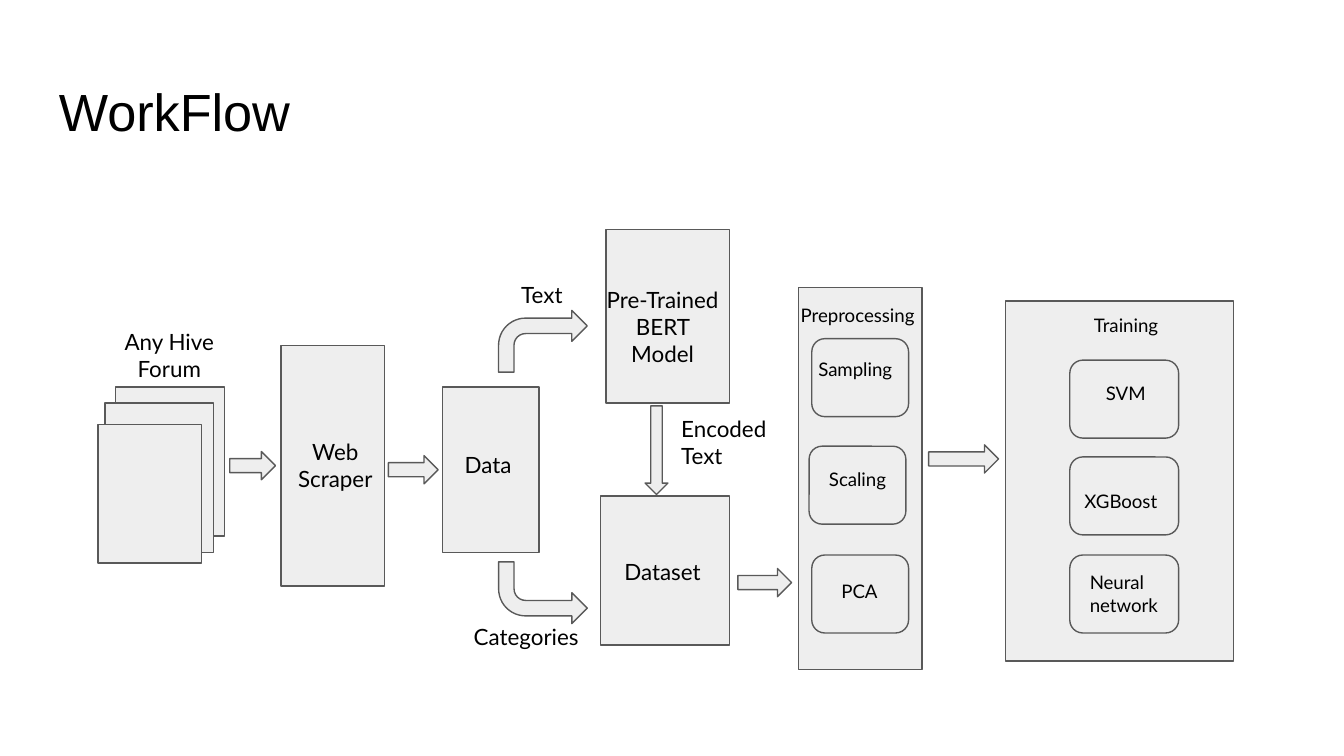
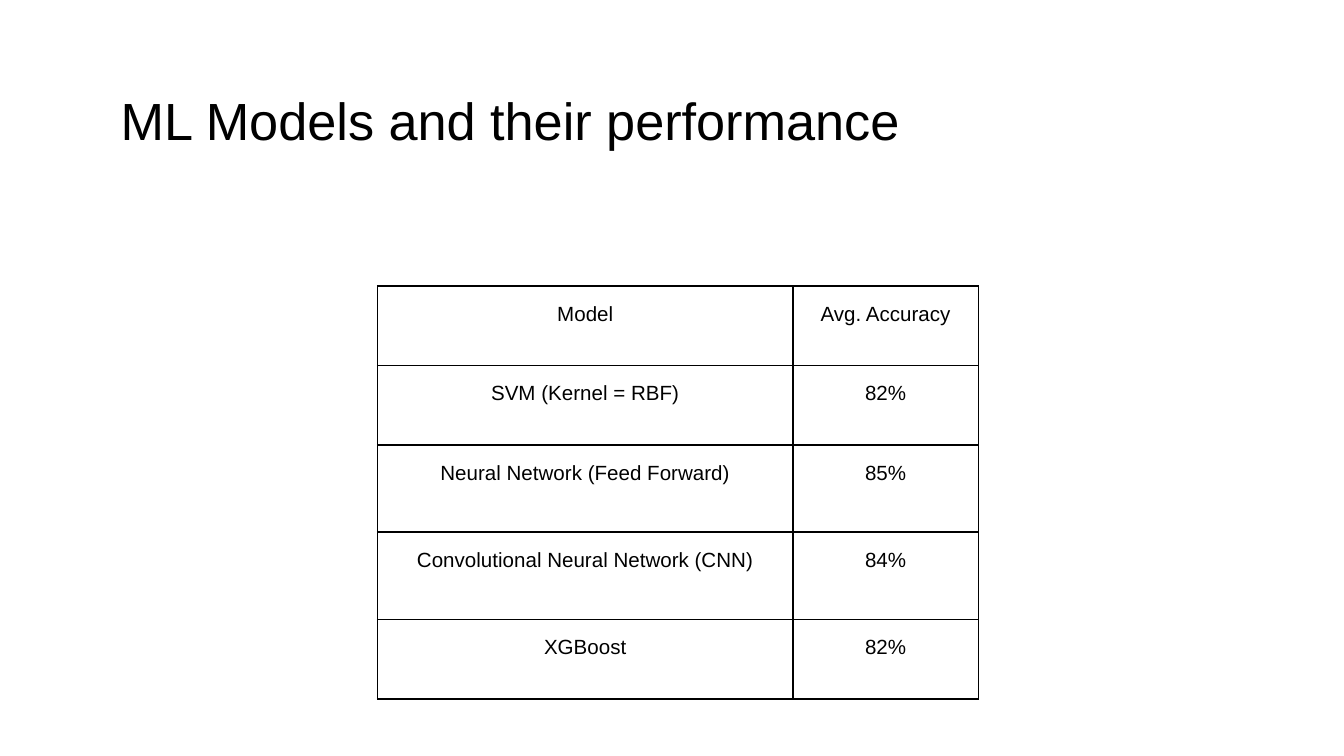
from dataclasses import dataclass
from typing import Any

from lxml import etree
from pptx import Presentation, util as u
from pptx.dml.color import RGBColor
from pptx.enum import shapes, text
from pptx.oxml import ns

PX = 9144
COLORS = {"ink": "000000", "panel": "EEEEEE", "outline": "595959"}
BODY_FONT, TITLE_FONT = "Lato", "Arial"
KIND = shapes.MSO_SHAPE
LEFT, CENTER = text.PP_ALIGN.LEFT, text.PP_ALIGN.CENTER


def px(value):
    """Turn pixels (100 to the inch) into EMU."""
    return u.Emu(value * PX)


def color(name):
    """Look up a palette colour."""
    return RGBColor.from_string(COLORS[name])


def style(paragraph, font_name, size, align):
    """Set the font and alignment of a paragraph."""
    paragraph.alignment = align
    paragraph.font.name = font_name
    paragraph.font.size = u.Pt(size)
    paragraph.font.color.rgb = color("ink")


@dataclass
class Region:
    """A part of a slide that places shapes relative to its corner."""

    slide: Any
    left: int
    top: int

    def frame(self, left, top, width, height):
        """Return slide coordinates of a box inside the region."""
        return px(self.left + left), px(self.top + top), px(width), px(height)

    def block(self, kind, *box):
        """Add a grey outlined shape."""
        shape = self.slide.shapes.add_shape(kind, *self.frame(*box))
        shape.shadow.inherit = False
        shape.fill.solid()
        shape.fill.fore_color.rgb = color("panel")
        shape.line.color.rgb = color("outline")
        shape.line.width = u.Pt(0.75)
        return shape

    def label(self, words, *box, size=12, align=CENTER, font_name=BODY_FONT, inset=10):
        """Add wrapped text, set slightly lower when it is small."""
        frame = self.slide.shapes.add_textbox(*self.frame(*box)).text_frame
        frame.word_wrap = True
        frame.margin_left = px(inset)
        frame.margin_right = frame.margin_bottom = px(10)
        frame.margin_top = px(12 if size < 12 else 10)
        frame.text = words
        style(frame.paragraphs[0], font_name, size, align)


def add_title(slide, words, *box):
    """Add the slide title."""
    Region(slide, 0, 0).label(words, *box, size=28, align=LEFT, font_name=TITLE_FONT)


def draw_collection(region):
    """Draw the forum pages, the scraper and the collected data."""
    for page in [(13, 54, 81, 111), (5, 66, 81, 111), (0, 82, 77, 103)]:
        region.block(KIND.RECTANGLE, *page)
    region.label("Any Hive Forum", 5, 0, 96, 42)
    region.block(KIND.RIGHT_ARROW, 98, 102, 34, 21)
    region.block(KIND.RECTANGLE, 136, 23, 77, 179)
    region.label("Web Scraper", 136, 82, 81, 42)
    region.block(KIND.RIGHT_ARROW, 216, 105, 37, 21)
    region.block(KIND.RECTANGLE, 256, 54, 72, 123)
    region.label("Data", 263, 92, 66, 58, align=LEFT)


def draw_encoding(region):
    """Draw the text and category branches that meet in the dataset."""
    region.label("Text", 7, 28, 52, 21, align=LEFT)
    region.block(KIND.BENT_ARROW, 0, 60, 66, 46)
    lower_arrow = region.block(KIND.BENT_ARROW, 0, 247, 66, 46)
    lower_arrow.rotation = 180
    lower_arrow._element.spPr.xfrm.set("flipH", "1")
    region.label("Categories", -32, 283, 105, 58)
    region.block(KIND.RECTANGLE, 80, 0, 92, 129)
    region.label("Pre-Trained BERT Model", 68, 32, 108, 87)
    region.block(KIND.DOWN_ARROW, 109, 131, 17, 66)
    region.label("Encoded Text", 126, 128, 92, 77, align=LEFT)
    region.block(KIND.RECTANGLE, 76, 198, 96, 111)
    region.label("Dataset", 76, 234, 92, 58)
    region.block(KIND.RIGHT_ARROW, 178, 252, 40, 21)


def draw_preprocessing(region):
    """Draw the panel of preprocessing steps and the arrow leaving it."""
    region.block(KIND.RECTANGLE, 0, 0, 92, 284)
    region.label("Preprocessing", -8, 3, 110, 58, size=10, align=LEFT)
    steps = [("Sampling", 10, 5, 43, 81, LEFT),
             ("Scaling", 8, 13, 125, 66, LEFT),
             ("PCA", 10, 16, 208, 59, CENTER)]
    for index, (words, step_left, left, top, width, align) in enumerate(steps):
        region.block(KIND.ROUNDED_RECTANGLE, step_left, 38 + 161 * index // 2, 72, 58)
        region.label(words, left, top, width, 29, size=10, align=align)
    region.block(KIND.RIGHT_ARROW, 97, 117, 52, 21)


def draw_training(region):
    """Draw the panel of trained models."""
    region.block(KIND.RECTANGLE, 0, 0, 170, 268)
    region.label("Training", -8, 0, 203, 35, size=10, align=LEFT, inset=74)
    models = [("SVM", 65, 51, 81), ("XGBoost", 49, 131, 81), ("Neural network", 53, 189, 72)]
    for index, (words, left, top, width) in enumerate(models):
        region.block(KIND.ROUNDED_RECTANGLE, 48, 44 + 145 * index // 2, 81, 58)
        region.label(words, left, top, width, 29, size=10, align=LEFT)


def border_cell(cell):
    """Give a cell thin lines on all four sides."""
    properties = cell._tc.get_or_add_tcPr()
    for index, side in enumerate(("lnL", "lnR", "lnT", "lnB")):
        line = etree.Element(ns.qn(f"a:{side}"), w=str(u.Pt(1)))
        fill = etree.SubElement(line, ns.qn("a:solidFill"))
        etree.SubElement(fill, ns.qn("a:srgbClr"), val=COLORS["ink"])
        properties.insert(index, line)


def draw_accuracy_table(region):
    """Draw the table of models and their average accuracy."""
    rows = [("Model", "Avg. Accuracy"),
            ("SVM (Kernel = RBF)", "82%"),
            ("Neural Network (Feed Forward)", "85%"),
            ("Convolutional Neural Network (CNN)", "84%"),
            ("XGBoost", "82%")]
    widths, heights = (309, 138), (59, 59, 65, 65, 59)
    table = region.slide.shapes.add_table(
        len(rows), len(widths), *region.frame(0, 0, sum(widths), sum(heights))).table
    table.first_row = table.horz_banding = False
    for column, width in zip(table.columns, widths):
        column.width = px(width)
    for row, height, values in zip(table.rows, heights, rows):
        row.height = px(height)
        for cell, value in zip(row.cells, values):
            cell.text = value
            cell.fill.background()
            cell.margin_left = cell.margin_right = px(7)
            cell.margin_top = cell.margin_bottom = px(10)
            paragraph = cell.text_frame.paragraphs[0]
            style(paragraph, TITLE_FONT, 11, CENTER)
            paragraph.line_spacing = 1.15
            paragraph.space_before = u.Pt(12)
            border_cell(cell)


def build_workflow(slide):
    """Build the workflow diagram slide."""
    add_title(slide, "WorkFlow", 34, 49, 932, 63)
    draw_collection(Region(slide, 73, 234))
    draw_encoding(Region(slide, 371, 171))
    draw_preprocessing(Region(slide, 594, 214))
    draw_training(Region(slide, 748, 224))


def build_performance(slide):
    """Build the model performance slide."""
    add_title(slide, "ML Models and their performance", 80, 56, 841, 59)
    draw_accuracy_table(Region(slide, 281, 213))


def main():
    """Build and save the presentation."""
    presentation = Presentation()
    presentation.slide_width = px(1000)
    presentation.slide_height = u.Emu(px(1000) * 9 // 16)
    for build in (build_workflow, build_performance):
        build(presentation.slides.add_slide(presentation.slide_layouts[6]))
    presentation.save("out.pptx")


if __name__ == "__main__":
    main()
